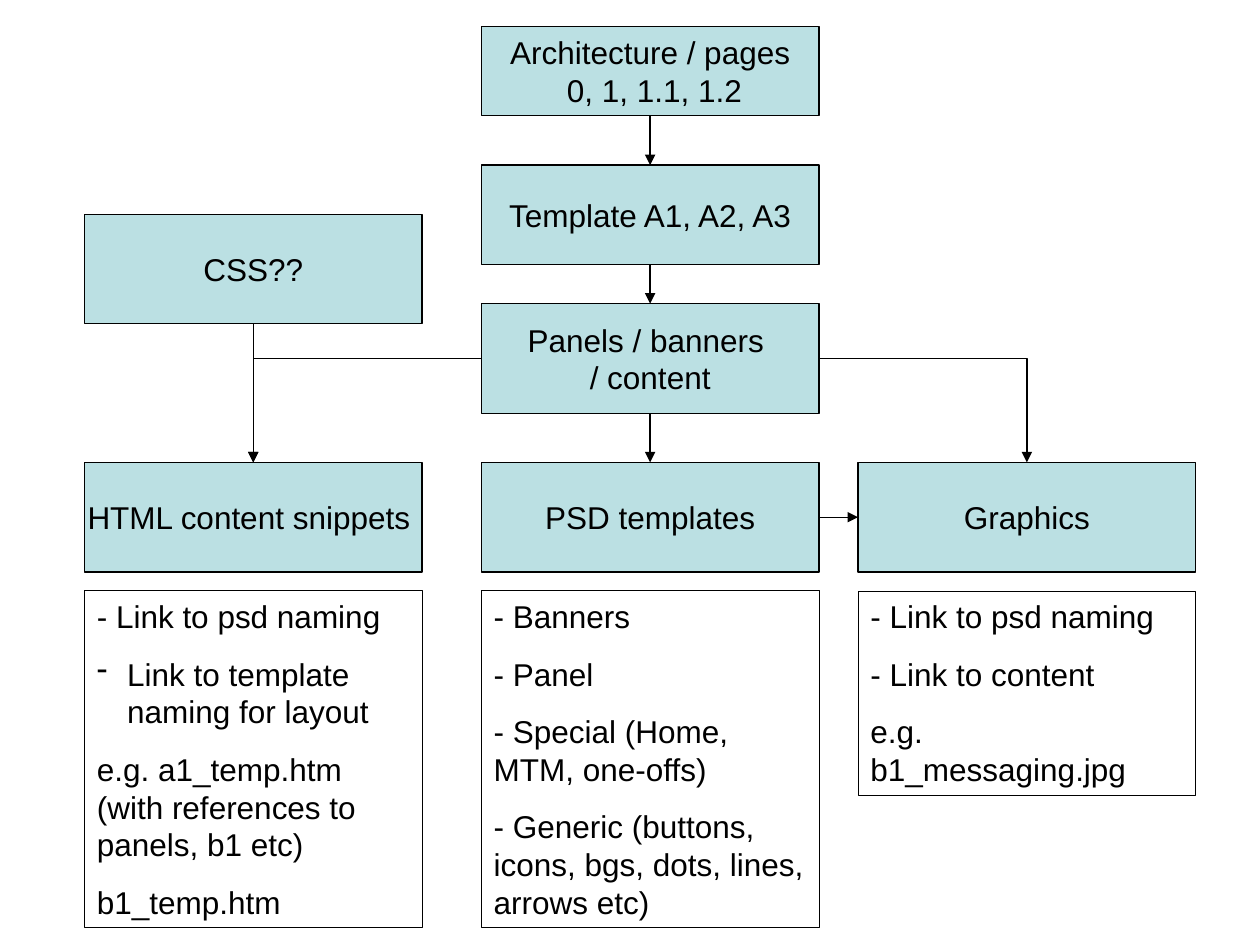
import pptx
import pptx.dml.color
import pptx.enum.shapes
import pptx.enum.text
import pptx.oxml
import pptx.oxml.ns
import pptx.util

Inches = pptx.util.Inches
Pt = pptx.util.Pt

COLORS = {"box": "BBE0E3", "ink": "000000"}
FONT = {"name": "Arial", "size": Pt(18)}
COLUMNS = {"left": 0.67, "middle": 3.82, "right": 6.81}
BOX_WIDTH = 2.68
BOX_HEIGHT = 0.87
BRANCH_TOP = 3.67
DETAIL_TOP = 4.69
HANGING_INDENT = 0.24
TOP, LEFT, BOTTOM, RIGHT = range(4)

# name: (column, top, height, lines)
BOXES = {
    "architecture": ("middle", 0.21, 0.71, ["Architecture / pages", " 0, 1, 1.1, 1.2"]),
    "template": ("middle", 1.31, 0.79, ["Template A1, A2, A3"]),
    "panels": ("middle", 2.41, BOX_HEIGHT, ["Panels / banners ", "/ content"]),
    "css": ("left", 1.7, BOX_HEIGHT, ["CSS??"]),
    "html": ("left", BRANCH_TOP, BOX_HEIGHT, ["HTML content snippets "]),
    "psd": ("middle", BRANCH_TOP, BOX_HEIGHT, ["PSD templates"]),
    "graphics": ("right", BRANCH_TOP, BOX_HEIGHT, ["Graphics"]),
}

BULLETED = "Link to template naming for layout"
# column: (height, lines)
DETAILS = {
    "middle": (2.67, [
        "- Banners",
        "- Panel",
        "- Special (Home, MTM, one-offs)",
        "- Generic (buttons, icons, bgs, dots, lines, arrows etc)",
    ]),
    "right": (1.62, [
        "- Link to psd naming",
        "- Link to content",
        "e.g. b1_messaging.jpg",
    ]),
    "left": (2.67, [
        "- Link to psd naming",
        BULLETED,
        "e.g. a1_temp.htm (with references to panels, b1 etc)",
        "b1_temp.htm",
    ]),
}

# (from box, side, to box, side, bent)
ARROWS = [
    ("architecture", BOTTOM, "template", TOP, False),
    ("template", BOTTOM, "panels", TOP, False),
    ("panels", BOTTOM, "psd", TOP, False),
    ("panels", LEFT, "html", TOP, True),
    ("panels", RIGHT, "graphics", TOP, True),
    ("psd", RIGHT, "graphics", LEFT, False),
    ("css", BOTTOM, "html", TOP, False),
]


def color(name):
    return pptx.dml.color.RGBColor.from_string(COLORS[name])


def set_line(shape, width):
    shape.line.color.rgb = color("ink")
    shape.line.width = Pt(width)


def add_child(parent, tag, **attributes):
    child = pptx.oxml.parse_xml(f"<{tag} {pptx.oxml.ns.nsdecls('a')}/>")
    for key, value in attributes.items():
        child.set(key, value)
    parent.append(child)


def add_dash_bullet(paragraph):
    properties = paragraph._p.get_or_add_pPr()
    indent = Inches(HANGING_INDENT)
    properties.set("marL", str(indent))
    properties.set("indent", str(-indent))
    add_child(properties, "a:buFontTx")
    add_child(properties, "a:buChar", char="-")


def write_lines(text_frame, lines, alignment, space_before=0):
    for index, line in enumerate(lines):
        paragraph = text_frame.add_paragraph() if index else text_frame.paragraphs[0]
        paragraph.alignment = alignment
        if index and space_before:
            paragraph.space_before = Pt(space_before)
        if line == BULLETED:
            add_dash_bullet(paragraph)
        run = paragraph.add_run()
        run.text = line
        for attribute, value in FONT.items():
            setattr(run.font, attribute, value)
        run.font.color.rgb = color("ink")


def add_box(slide, column, top, height, lines):
    shape = slide.shapes.add_shape(
        pptx.enum.shapes.MSO_SHAPE.RECTANGLE, Inches(COLUMNS[column]),
        Inches(top), Inches(BOX_WIDTH), Inches(height))
    shape.shadow.inherit = False
    shape.fill.solid()
    shape.fill.fore_color.rgb = color("box")
    set_line(shape, 0.75)
    shape.text_frame.word_wrap = False
    shape.text_frame.vertical_anchor = pptx.enum.text.MSO_ANCHOR.MIDDLE
    write_lines(shape.text_frame, lines, pptx.enum.text.PP_ALIGN.CENTER)
    return shape


def add_detail(slide, column, height, lines):
    shape = slide.shapes.add_textbox(
        Inches(COLUMNS[column]), Inches(DETAIL_TOP), Inches(BOX_WIDTH), Inches(height))
    set_line(shape, 0.5)
    shape.text_frame.word_wrap = True
    shape.text_frame.auto_size = pptx.enum.text.MSO_AUTO_SIZE.SHAPE_TO_FIT_TEXT
    write_lines(shape.text_frame, lines, pptx.enum.text.PP_ALIGN.LEFT, space_before=11.2)


def add_arrow(slide, start, start_side, end, end_side, bent):
    kinds = pptx.enum.shapes.MSO_CONNECTOR
    connector = slide.shapes.add_connector(
        kinds.ELBOW if bent else kinds.STRAIGHT, 0, 0, 0, 0)
    connector.begin_connect(start, start_side)
    connector.end_connect(end, end_side)
    set_line(connector, 0.75)
    add_child(connector.line._get_or_add_ln(), "a:tailEnd", type="triangle")
    properties = connector._element.spPr
    add_child(properties, "a:effectLst")
    if bent:  # a single corner
        properties.find(pptx.oxml.ns.qn("a:prstGeom")).set("prst", "bentConnector2")


def main():
    presentation = pptx.Presentation()
    presentation.slide_width = Inches(10)
    presentation.slide_height = Inches(7.5)
    slide = presentation.slides.add_slide(presentation.slide_layouts[6])

    boxes = {name: add_box(slide, *box) for name, box in BOXES.items()}
    for column, detail in DETAILS.items():
        add_detail(slide, column, *detail)
    for start, start_side, end, end_side, bent in ARROWS:
        add_arrow(slide, boxes[start], start_side, boxes[end], end_side, bent)

    presentation.save("out.pptx")


if __name__ == "__main__":
    main()
